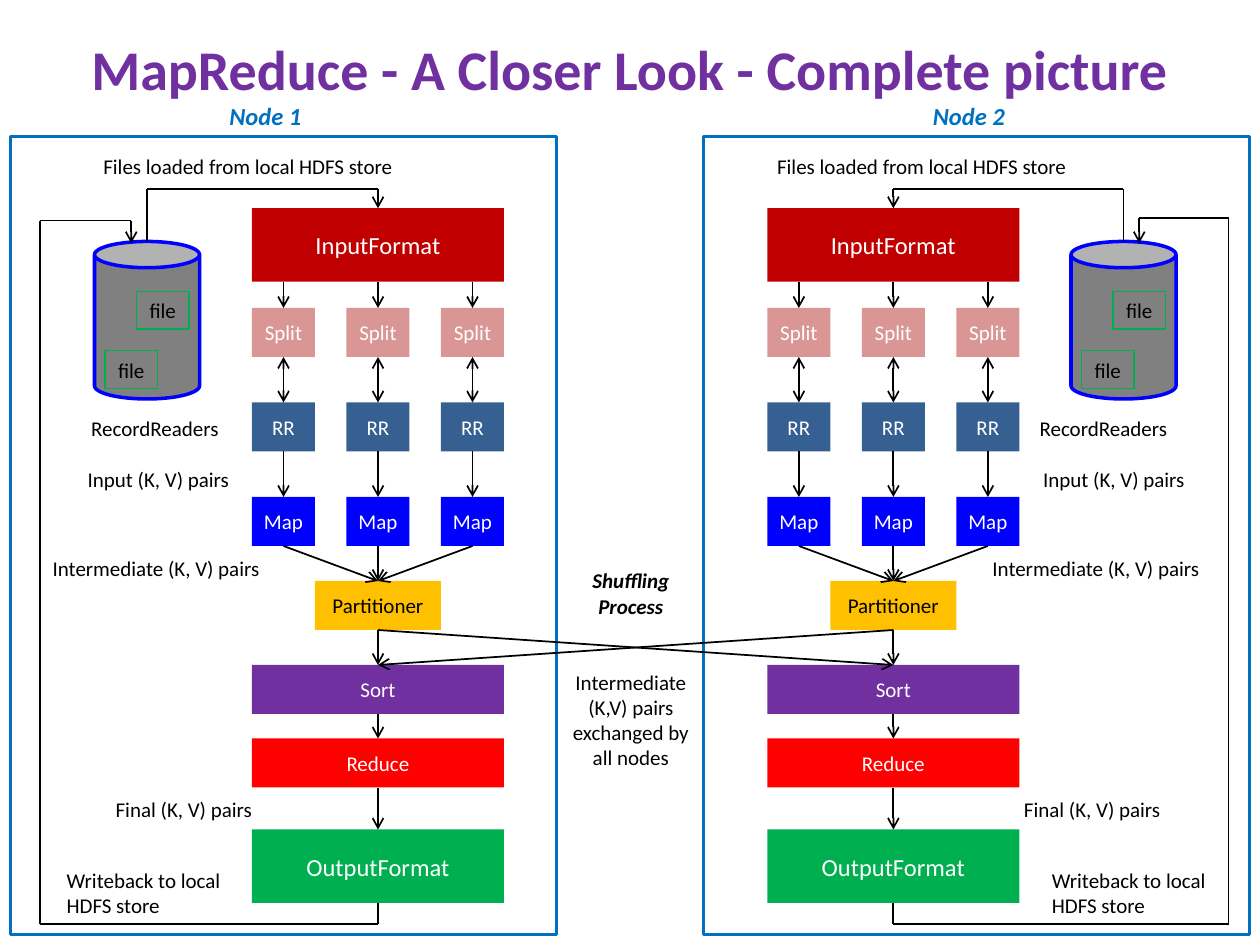
import pptx
import pptx.dml.color
import pptx.enum.shapes
import pptx.enum.text
import pptx.oxml.ns
import pptx.util
from lxml import etree

Pt = pptx.util.Pt
RGBColor = pptx.dml.color.RGBColor
MSO_SHAPE = pptx.enum.shapes.MSO_SHAPE
ALIGN = pptx.enum.text.PP_ALIGN
ANCHOR = pptx.enum.text.MSO_ANCHOR
AUTO_SIZE = pptx.enum.text.MSO_AUTO_SIZE
qn = pptx.oxml.ns.qn

BLACK = RGBColor(0, 0, 0)
WHITE = RGBColor(255, 255, 255)
GRAY = RGBColor(0x80, 0x80, 0x80)
BLUE = RGBColor(0, 0, 0xFF)
FRAME_BLUE = RGBColor(0, 0x70, 0xC0)
STEEL = RGBColor(0x37, 0x60, 0x92)
GREEN = RGBColor(0, 0xB0, 0x50)
DARK_RED = RGBColor(0xC0, 0, 0)
RED = RGBColor(0xFF, 0, 0)
PINK = RGBColor(0xD9, 0x96, 0x94)
AMBER = RGBColor(0xFF, 0xC0, 0)
PURPLE = RGBColor(0x70, 0x30, 0xA0)

TOP_SITE, BOTTOM_SITE = 0, 2
BOX_H = 28
TASK_W, TASK_PITCH = 36, 54
STAGE_W = 144
BOTTOM = 528

LABELS = [  # text, top, width, height
    ("Files loaded from local HDFS store", 84, 202, 22),
    ("RecordReaders", 234, 99, 22),
    ("Input (K, V) pairs", 263, 106, 22),
    ("Intermediate (K, V) pairs", 314, 145, 22),
    ("Final (K, V) pairs", 451.5, 104, 22),
    ("Writeback to local\nHDFS store", 492, 113, 37),
]

NODES = [
    dict(name="Node 1", name_x=124, frame_x=6, stage_x=144, disk_x=54,
         return_x=23, return_y=126, entry_x=75,
         label_xs=[52, 45, 43, 23, 59, 31]),
    dict(name="Node 2", name_x=526, frame_x=402, stage_x=438.5, disk_x=612,
         return_x=702, return_y=124.5, entry_x=651,
         label_xs=[437, 587, 589, 560, 578, 594]),
]


def set_text(p, text, size=12, color=BLACK, bold=False, italic=False,
             align=ALIGN.LEFT, before=0):
    p.text = text
    p.alignment = align
    p.space_before = Pt(before)
    for r in p.runs:
        r.font.name = "Calibri"
        r.font.size = Pt(size)
        r.font.bold = bold
        r.font.italic = italic
        r.font.color.rgb = color


def set_insets(tf, x, y):
    tf.margin_left = tf.margin_right = Pt(x)
    tf.margin_top = tf.margin_bottom = Pt(y)


def add_shape(slide, kind, x, y, w, h, fill=None, line=None, width=1):
    sp = slide.shapes.add_shape(kind, Pt(x), Pt(y), Pt(w), Pt(h))
    sp.shadow.inherit = False
    if fill is None:
        sp.fill.background()
    else:
        sp.fill.solid()
        sp.fill.fore_color.rgb = fill
    if line is None:
        sp.line.fill.background()
    else:
        sp.line.color.rgb = line
        sp.line.width = Pt(width)
    return sp


def add_box(slide, text, x, y, w, h, fill, size=12, color=WHITE):
    sp = add_shape(slide, MSO_SHAPE.RECTANGLE, x, y, w, h, fill)
    tf = sp.text_frame
    tf.vertical_anchor = ANCHOR.MIDDLE
    set_insets(tf, 0, 3.6)
    set_text(tf.paragraphs[0], text, size=size, color=color, align=ALIGN.CENTER)
    return sp


def add_label(slide, text, x, y, w, h, **fmt):
    tf = slide.shapes.add_textbox(Pt(x), Pt(y), Pt(w), Pt(h)).text_frame
    tf.word_wrap = False
    set_text(tf.paragraphs[0], text, **fmt)


def add_line(slide, start, end, head=False, tail=True):
    """Draw from start to end; each is a point, or a box left at its bottom
    or entered at its top."""
    points = [(0, 0) if hasattr(e, "shape_id") else e for e in (start, end)]
    c = slide.shapes.add_connector(
        pptx.enum.shapes.MSO_CONNECTOR.STRAIGHT,
        *[Pt(v) for point in points for v in point])
    if hasattr(start, "shape_id"):
        c.begin_connect(start, BOTTOM_SITE)
    if hasattr(end, "shape_id"):
        c.end_connect(end, TOP_SITE)
    c.line.color.rgb = BLACK
    c.line.width = Pt(1)
    ln = c.line._get_or_add_ln()
    for tag, shown in (("a:headEnd", head), ("a:tailEnd", tail)):
        if shown:
            etree.SubElement(ln, qn(tag), type="arrow")
    etree.SubElement(c._element.spPr, qn("a:effectLst"))


def add_route(slide, *stops):
    """Chain lines through the stops, with an arrowhead on the last one."""
    last = len(stops) - 2
    for i, (start, end) in enumerate(zip(stops, stops[1:])):
        add_line(slide, start, end, tail=i == last)


def add_disk(slide, x):
    add_shape(slide, MSO_SHAPE.CAN, x, 138, 60, 90, GRAY, BLUE, 2)
    for dx, y in ((24, 166.5), (6, 200.5)):
        sp = add_shape(slide, MSO_SHAPE.RECTANGLE, x + dx, y, 30, 21.5,
                       line=GREEN, width=0.75)
        tf = sp.text_frame
        tf.word_wrap = False
        set_insets(tf, 0, 3.6)
        set_text(tf.paragraphs[0], "file", align=ALIGN.CENTER)


def add_task_row(slide, text, x, y, fill):
    return [add_box(slide, text, x + i * TASK_PITCH, y, TASK_W, BOX_H, fill)
            for i in range(3)]


def add_node(slide, node):
    """Draw one node's pipeline and return its partitioner and sort boxes."""
    x = node["stage_x"]
    mid = x + STAGE_W / 2
    disk_mid = node["disk_x"] + 30
    add_disk(slide, node["disk_x"])

    source = add_box(slide, "InputFormat", x, 119, STAGE_W, 42, DARK_RED, size=14)
    splits = add_task_row(slide, "Split", x, 176, PINK)
    readers = add_task_row(slide, "RR", x, 230, STEEL)
    maps = add_task_row(slide, "Map", x, 284, BLUE)
    partitioner = add_box(slide, "Partitioner", x + 36, 332, 72, BOX_H, AMBER,
                          color=BLACK)
    sort = add_box(slide, "Sort", x, 380, STAGE_W, BOX_H, PURPLE)
    reduce_box = add_box(slide, "Reduce", x, 422, STAGE_W, BOX_H, RED)
    output = add_box(slide, "OutputFormat", x, 474, STAGE_W, 42, GREEN, size=14)

    for i, (split, reader, map_box) in enumerate(zip(splits, readers, maps)):
        start = source if i == 1 else (x + TASK_W / 2 + i * TASK_PITCH, 161)
        add_line(slide, start, split)
        add_line(slide, split, reader, head=True)
        add_line(slide, reader, map_box)
        add_line(slide, map_box, partitioner)
    for start, end in ((partitioner, sort), (sort, reduce_box), (reduce_box, output)):
        add_line(slide, start, end)

    add_route(slide, (disk_mid, 138), (disk_mid, 108), (mid, 108), source)
    back_x, back_y, entry_x = node["return_x"], node["return_y"], node["entry_x"]
    add_route(slide, output, (mid, BOTTOM), (back_x, BOTTOM), (back_x, back_y),
              (entry_x, back_y), (entry_x, 139))

    for (text, y, w, h), label_x in zip(LABELS, node["label_xs"]):
        add_label(slide, text, label_x, y, w, h)
    add_shape(slide, MSO_SHAPE.RECTANGLE, node["frame_x"], 78, 312, 456,
              line=FRAME_BLUE, width=2)
    add_label(slide, node["name"], node["name_x"], 54, 61, 24.5, size=14,
              color=FRAME_BLUE, bold=True, italic=True)
    return partitioner, sort


def add_shuffle_note(slide):
    tf = slide.shapes.add_textbox(Pt(314), Pt(321), Pt(93), Pt(124)).text_frame
    tf.word_wrap = False
    set_text(tf.paragraphs[0], "Shuffling", bold=True, italic=True, align=ALIGN.CENTER)
    set_text(tf.add_paragraph(), "Process", bold=True, italic=True, align=ALIGN.CENTER)
    for i, text in enumerate(["Intermediate", "(K,V) pairs", "exchanged by", "all nodes"]):
        set_text(tf.add_paragraph(), text, align=ALIGN.CENTER, before=0 if i else 29)


def set_title(slide, text):
    s = slide.shapes.title
    s.left, s.top, s.width, s.height = Pt(0), Pt(0), Pt(720), Pt(78)
    tf = s.text_frame
    tf.auto_size = AUTO_SIZE.NONE
    tf.vertical_anchor = ANCHOR.MIDDLE
    set_insets(tf, 0, 3.6)
    set_text(tf.paragraphs[0], text, size=32, color=PURPLE, bold=True,
             align=ALIGN.CENTER)


def main():
    prs = pptx.Presentation()
    prs.slide_width, prs.slide_height = Pt(720), Pt(540)
    slide = prs.slides.add_slide(prs.slide_layouts[5])
    set_title(slide, "MapReduce - A Closer Look - Complete picture")
    (part1, sort1), (part2, sort2) = [add_node(slide, node) for node in NODES]
    add_line(slide, part2, sort1)
    add_line(slide, part1, sort2)
    add_shuffle_note(slide)
    prs.save("out.pptx")


if __name__ == "__main__":
    main()
